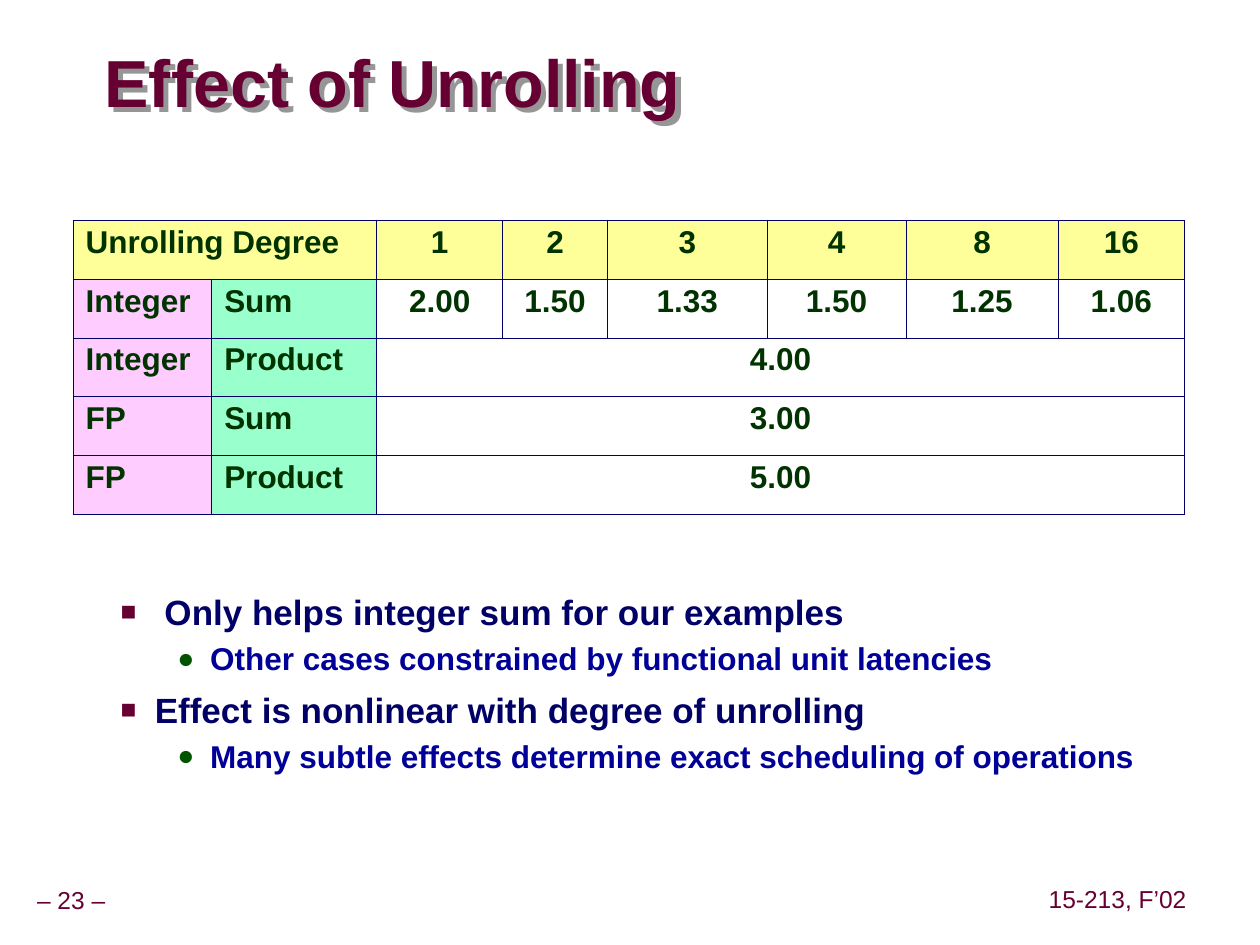
from dataclasses import dataclass
from typing import NamedTuple, Optional

import pptx
import pptx.dml.color
import pptx.enum.text
import pptx.oxml.ns
import pptx.util
from lxml import etree

GRID_COLUMNS, GRID_ROWS = 100, 75
SLIDE_WIDTH, SLIDE_HEIGHT = pptx.util.Inches(10), pptx.util.Inches(7.5)
ALIGN = pptx.enum.text.PP_ALIGN
ANCHOR = pptx.enum.text.MSO_ANCHOR


@dataclass(frozen=True)
class Theme:
    font: str = "Arial"
    maroon: str = "660033"
    navy: str = "000066"
    blue: str = "000099"
    bullet_green: str = "005400"
    table_text: str = "003300"
    header_fill: str = "FFFF99"
    type_fill: str = "FFCCFF"
    operation_fill: str = "99FFCC"
    shadow: str = "969696"
    title_size: int = 38
    point_size: int = 20
    detail_size: int = 18
    table_size: int = 18
    footer_size: int = 14
    border_width: float = 0.45


THEME = Theme()


class Area(NamedTuple):
    """A place on the slide, in grid columns and rows."""
    column: float
    row: float
    columns: float
    rows: float


class Bullet(NamedTuple):
    """A bullet level; margin and hanging are grid columns, size is a percentage."""
    character: str
    color: str
    size: int
    margin: float
    hanging: float


class Level(NamedTuple):
    bullet: Bullet
    size: int
    color: str
    line_spacing: float
    space_before: float


POINT = Level(Bullet("■", THEME.maroon, 75, 8.1, 2.7), THEME.point_size, THEME.navy, 1, 6.2)
DETAIL = Level(Bullet("●", THEME.bullet_green, 90, 12.5, 2.6),
               THEME.detail_size, THEME.blue, 1.07, 2.2)
BODY = [
    (POINT, " Only helps integer sum for our examples"),
    (DETAIL, "Other cases constrained by functional unit latencies"),
    (POINT, "Effect is nonlinear with degree of unrolling"),
    (DETAIL, "Many subtle effects determine exact scheduling of operations"),
]

COLUMN_WIDTHS = [11, 13.1, 10, 8.3, 12.7, 11, 12.1, 10]
ROW_HEIGHT = 4.66
TABLE_ROWS = [
    ["Unrolling Degree", None, "1", "2", "3", "4", "8", "16"],
    ["Integer", "Sum", "2.00", "1.50", "1.33", "1.50", "1.25", "1.06"],
    ["Integer", "Product", "4.00", None, None, None, None, None],
    ["FP", "Sum", "3.00", None, None, None, None, None],
    ["FP", "Product", "5.00", None, None, None, None, None],
]


def across(columns: float) -> int:
    return round(SLIDE_WIDTH * columns / GRID_COLUMNS)


def down(rows: float) -> int:
    return round(SLIDE_HEIGHT * rows / GRID_ROWS)


def place(area: Area) -> tuple[int, int, int, int]:
    return across(area.column), down(area.row), across(area.columns), down(area.rows)


def add_child(parent, tag: str, **attributes):
    child = etree.SubElement(parent, pptx.oxml.ns.qn(tag))
    for name, value in attributes.items():
        child.set(name, str(value))
    return child


def add_color(parent, color: str) -> None:
    add_child(parent, "a:srgbClr", val=color)


def set_bullet(paragraph, bullet: Bullet) -> None:
    properties = paragraph._p.get_or_add_pPr()
    properties.set("marL", str(across(bullet.margin)))
    properties.set("indent", str(-across(bullet.hanging)))
    add_color(add_child(properties, "a:buClr"), bullet.color)
    add_child(properties, "a:buSzPct", val=bullet.size * 1000)
    add_child(properties, "a:buFont", typeface=THEME.font)
    add_child(properties, "a:buChar", char=bullet.character)


def write(paragraph, text: str, *, size: float, color: str, bold: bool = True,
          align=ALIGN.LEFT, line_spacing: float = 1, space_before: float = 0,
          bullet: Optional[Bullet] = None) -> None:
    if bullet:
        set_bullet(paragraph, bullet)
    paragraph.alignment = align
    paragraph.line_spacing = line_spacing
    paragraph.space_before = pptx.util.Pt(space_before)
    run = paragraph.add_run()
    run.text = text
    run.font.name = THEME.font
    run.font.size = pptx.util.Pt(size)
    run.font.bold = bold
    run.font.color.rgb = pptx.dml.color.RGBColor.from_string(color)


def add_text_box(slide, area: Area, *, inset: tuple[float, float] = (0, 0),
                 anchor=ANCHOR.MIDDLE, wrap: bool = True):
    """Add an empty text box; inset is its side and top margin in grid units."""
    shape = slide.shapes.add_textbox(*place(area))
    frame = shape.text_frame
    frame.word_wrap = wrap
    frame.vertical_anchor = anchor
    frame.margin_left = frame.margin_right = across(inset[0])
    frame.margin_top = frame.margin_bottom = down(inset[1])
    return shape


def add_title(slide) -> None:
    shape = add_text_box(slide, Area(8.3, 3.7, 64.3, 6.3))
    write(shape.text_frame.paragraphs[0], "Effect of Unrolling", size=THEME.title_size,
          color=THEME.maroon, line_spacing=0.87)
    effects = add_child(shape._element.spPr, "a:effectLst")
    shadow = add_child(effects, "a:outerShdw", dist=across(0.57), dir=45 * 60000)
    add_color(shadow, THEME.shadow)


def add_footer(slide, area: Area, text: str) -> None:
    shape = add_text_box(slide, area, inset=(0.5, 0.5), wrap=False)
    write(shape.text_frame.paragraphs[0], text, size=THEME.footer_size,
          color=THEME.maroon, bold=False, align=ALIGN.CENTER, line_spacing=0.9)


def add_body(slide) -> None:
    frame = add_text_box(slide, Area(3.2, 46.4, 90.9, 24.1), inset=(1, 0.5),
                         anchor=ANCHOR.TOP).text_frame
    for index, (level, text) in enumerate(BODY):
        paragraph = frame.add_paragraph() if index else frame.paragraphs[0]
        write(paragraph, text, size=level.size, color=level.color, bullet=level.bullet,
              line_spacing=level.line_spacing,
              space_before=level.space_before if index else 0)


def style_cell(cell, fill: Optional[str]) -> None:
    properties = cell._tc.get_or_add_tcPr()
    for side in ("a:lnL", "a:lnR", "a:lnT", "a:lnB"):
        line = add_child(properties, side, w=pptx.util.Pt(THEME.border_width))
        add_color(add_child(line, "a:solidFill"), THEME.navy)
    if fill:
        cell.fill.solid()
        cell.fill.fore_color.rgb = pptx.dml.color.RGBColor.from_string(fill)
    else:
        cell.fill.background()


def add_results_table(slide) -> None:
    area = Area(5.8, 17.5, sum(COLUMN_WIDTHS), ROW_HEIGHT * len(TABLE_ROWS))
    table = slide.shapes.add_table(len(TABLE_ROWS), len(COLUMN_WIDTHS), *place(area)).table
    table.first_row = table.horz_banding = False
    for column, width in zip(table.columns, COLUMN_WIDTHS):
        column.width = across(width)
    label_fills = [THEME.type_fill, THEME.operation_fill]
    for row, values in enumerate(TABLE_ROWS):
        table.rows[row].height = down(ROW_HEIGHT)
        for column, value in enumerate(values):
            cell = table.cell(row, column)
            is_label = column < len(label_fills)
            style_cell(cell, THEME.header_fill if row == 0
                       else label_fills[column] if is_label else None)
            if value is not None:
                write(cell.text_frame.paragraphs[0], value, size=THEME.table_size,
                      color=THEME.table_text, line_spacing=0.95,
                      align=ALIGN.LEFT if is_label else ALIGN.CENTER)
            elif values[column - 1] is not None:
                following = (end for end in range(column, len(values)) if values[end] is not None)
                last = next(following, len(values)) - 1
                table.cell(row, column - 1).merge(table.cell(row, last))


def main() -> None:
    presentation = pptx.Presentation()
    presentation.slide_width, presentation.slide_height = SLIDE_WIDTH, SLIDE_HEIGHT
    slide = presentation.slides.add_slide(presentation.slide_layouts[6])
    add_footer(slide, Area(-0.9, 70, 13.1, 3.1), "– 23 –")
    add_footer(slide, Area(82.7, 69.9, 12, 3.1), "15-213, F’02")
    add_title(slide)
    add_body(slide)
    add_results_table(slide)
    presentation.save("out.pptx")


if __name__ == "__main__":
    main()
